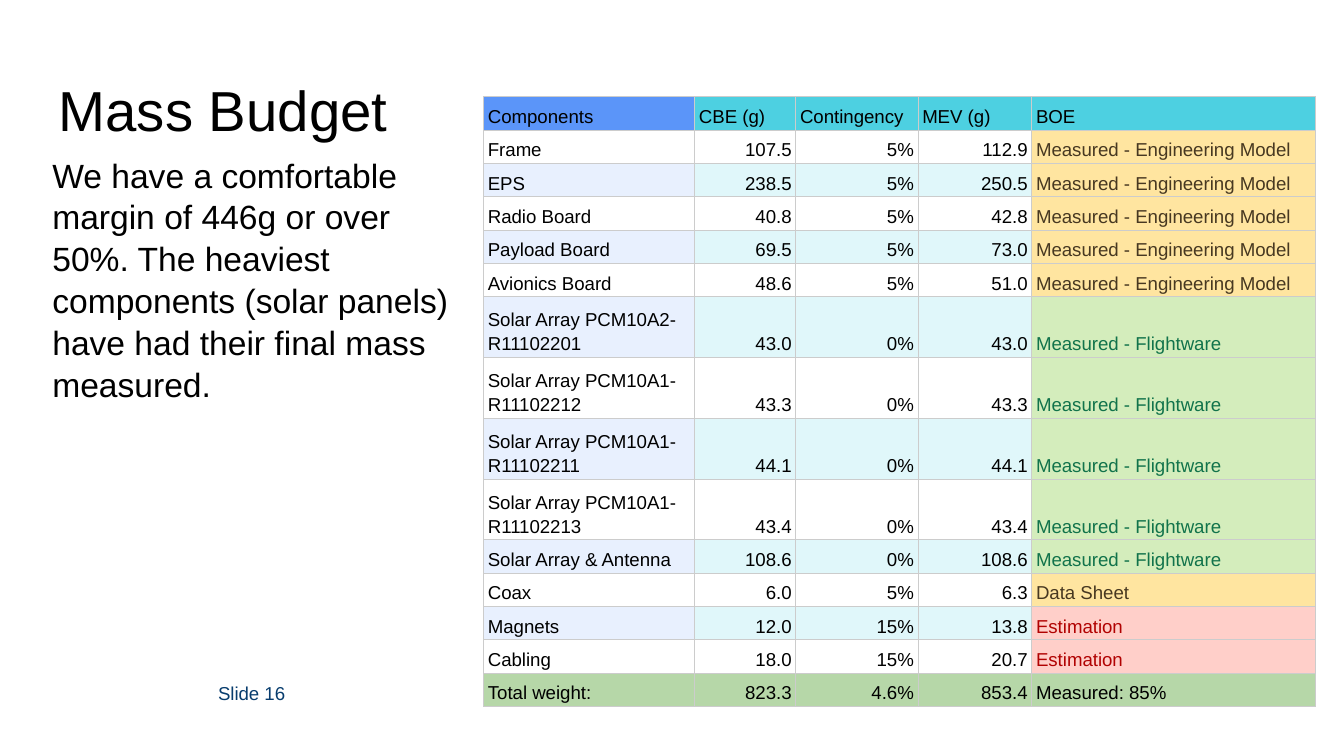
from lxml import etree
from pptx import Presentation
from pptx.dml.color import RGBColor
from pptx.enum.text import MSO_ANCHOR, PP_ALIGN
from pptx.oxml.ns import qn
from pptx.util import Cm, Pt

TOP, MIDDLE, BOTTOM = MSO_ANCHOR.TOP, MSO_ANCHOR.MIDDLE, MSO_ANCHOR.BOTTOM
LEFT, RIGHT = PP_ALIGN.LEFT, PP_ALIGN.RIGHT

BLACK = RGBColor(0x00, 0x00, 0x00)
WHITE = RGBColor(0xFF, 0xFF, 0xFF)
NAVY = RGBColor(0x08, 0x3D, 0x6E)
HEADER_BLUE = RGBColor(0x5B, 0x95, 0xF9)
HEADER_CYAN = RGBColor(0x4D, 0xD0, 0xE1)
STRIPE_BLUE = RGBColor(0xE8, 0xF0, 0xFE)
STRIPE_CYAN = RGBColor(0xE0, 0xF7, 0xFA)
TOTAL_GREEN = RGBColor(0xB6, 0xD7, 0xA8)
GRID_GRAY = RGBColor(0xCC, 0xCC, 0xCC)
YELLOW, BROWN = RGBColor(0xFF, 0xE5, 0xA0), RGBColor(0x47, 0x38, 0x21)
GREEN, DARK_GREEN = RGBColor(0xD4, 0xED, 0xBC), RGBColor(0x11, 0x73, 0x4B)
PINK, DARK_RED = RGBColor(0xFF, 0xCF, 0xC9), RGBColor(0xB1, 0x02, 0x02)

FONT = "Arial"
ENGINEERING = "Measured - Engineering Model"
FLIGHTWARE = "Measured - Flightware"
DATA_SHEET = "Data Sheet"
ESTIMATION = "Estimation"

# Basis of estimate: fill and text colour
BOE_COLORS = {
    ENGINEERING: (YELLOW, BROWN),
    FLIGHTWARE: (GREEN, DARK_GREEN),
    DATA_SHEET: (YELLOW, BROWN),
    ESTIMATION: (PINK, DARK_RED),
}
HEADER = ("Components", "CBE (g)", "Contingency", "MEV (g)", "BOE")
COMPONENTS = [
    ("Frame", "107.5", "5%", "112.9", ENGINEERING),
    ("EPS", "238.5", "5%", "250.5", ENGINEERING),
    ("Radio Board", "40.8", "5%", "42.8", ENGINEERING),
    ("Payload Board", "69.5", "5%", "73.0", ENGINEERING),
    ("Avionics Board", "48.6", "5%", "51.0", ENGINEERING),
    ("Solar Array PCM10A2-R11102201", "43.0", "0%", "43.0", FLIGHTWARE),
    ("Solar Array PCM10A1-R11102212", "43.3", "0%", "43.3", FLIGHTWARE),
    ("Solar Array PCM10A1-R11102211", "44.1", "0%", "44.1", FLIGHTWARE),
    ("Solar Array PCM10A1-R11102213", "43.4", "0%", "43.4", FLIGHTWARE),
    ("Solar Array & Antenna", "108.6", "0%", "108.6", FLIGHTWARE),
    ("Coax", "6.0", "5%", "6.3", DATA_SHEET),
    ("Magnets", "12.0", "15%", "13.8", ESTIMATION),
    ("Cabling", "18.0", "15%", "20.7", ESTIMATION),
]
TOTAL = ("Total weight:", "823.3", "4.6%", "853.4", "Measured: 85%")
COLUMN_WIDTHS = (3.99, 1.91, 2.31, 2.15, 5.37)
ROW_HEIGHT, TWO_LINE_HEIGHT = 0.63, 1.15
ONE_LINE_CHARACTERS = 22


def write(paragraph, text, size, color, align, spacing):
    paragraph.alignment = align
    paragraph.line_spacing = spacing
    run = paragraph.add_run()
    run.text = text
    run.font.name = FONT
    run.font.size = Pt(size)
    run.font.color.rgb = color


def add_text(slide, box, text, size, color=BLACK, align=LEFT, anchor=TOP, spacing=1.0):
    frame = slide.shapes.add_textbox(*map(Cm, box)).text_frame
    frame.word_wrap = True
    frame.vertical_anchor = anchor
    frame.margin_left = frame.margin_right = Cm(0.25)
    frame.margin_top = frame.margin_bottom = Cm(0.25)
    write(frame.paragraphs[0], text, size, color, align, spacing)


def set_borders(cell):
    """Draw the grid line on all four sides; the lines must precede the fill."""
    properties = cell._tc.get_or_add_tcPr()
    for index, side in enumerate(("a:lnL", "a:lnR", "a:lnT", "a:lnB")):
        line = etree.Element(qn(side), w=str(Pt(0.6)))
        fill = etree.SubElement(line, qn("a:solidFill"))
        etree.SubElement(fill, qn("a:srgbClr"), val=str(GRID_GRAY))
        properties.insert(index, line)


def fill_row(table, row, values, fills, boe_color=BLACK, number_align=RIGHT):
    colors = [BLACK] * 4 + [boe_color]
    aligns = [LEFT] + [number_align] * 3 + [LEFT]
    for column, (text, fill, color, align) in enumerate(zip(values, fills, colors, aligns)):
        cell = table.cell(row, column)
        cell.fill.solid()
        cell.fill.fore_color.rgb = fill
        cell.vertical_anchor = BOTTOM
        cell.margin_left = cell.margin_right = Cm(0.08)
        cell.margin_top = cell.margin_bottom = Cm(0.05)
        set_borders(cell)
        write(cell.text_frame.paragraphs[0], text, 10, color, align, 1.15)


def add_mass_table(slide, left, top):
    heights = [ROW_HEIGHT]
    for component in COMPONENTS:
        wraps = len(component[0]) > ONE_LINE_CHARACTERS
        heights.append(TWO_LINE_HEIGHT if wraps else ROW_HEIGHT)
    heights.append(ROW_HEIGHT)

    table = slide.shapes.add_table(
        len(heights), len(COLUMN_WIDTHS), Cm(left), Cm(top),
        Cm(sum(COLUMN_WIDTHS)), Cm(sum(heights))).table
    table.first_row = table.horz_banding = False
    for column, width in zip(table.columns, COLUMN_WIDTHS):
        column.width = Cm(width)
    for row, height in zip(table.rows, heights):
        row.height = Cm(height)

    fill_row(table, 0, HEADER, [HEADER_BLUE] + [HEADER_CYAN] * 4, number_align=LEFT)
    for row, component in enumerate(COMPONENTS, start=1):
        name_fill, number_fill = (WHITE, WHITE) if row % 2 else (STRIPE_BLUE, STRIPE_CYAN)
        boe_fill, boe_color = BOE_COLORS[component[-1]]
        fill_row(table, row, component, [name_fill] + [number_fill] * 3 + [boe_fill], boe_color)
    fill_row(table, len(heights) - 1, TOTAL, [TOTAL_GREEN] * 5)


def main():
    presentation = Presentation()
    presentation.slide_width, presentation.slide_height = Cm(25.4), Cm(14.29)
    slide = presentation.slides.add_slide(presentation.slide_layouts[6])
    add_text(slide, (0.74, 2.64, 8.23, 10.85),
             "We have a comfortable margin of 446g or over 50%. The heaviest components "
             "(solar panels) have had their final mass measured.", 18, spacing=1.04)
    add_text(slide, (0.86, 1.04, 23.67, 1.6), "Mass Budget", 30.2, spacing=1.1)
    add_mass_table(slide, 9.14, 1.83)
    add_text(slide, (2.9, 12.55, 2.74, 1.09), "Slide 16", 10, NAVY, RIGHT, MIDDLE)
    presentation.save("out.pptx")


if __name__ == "__main__":
    main()
